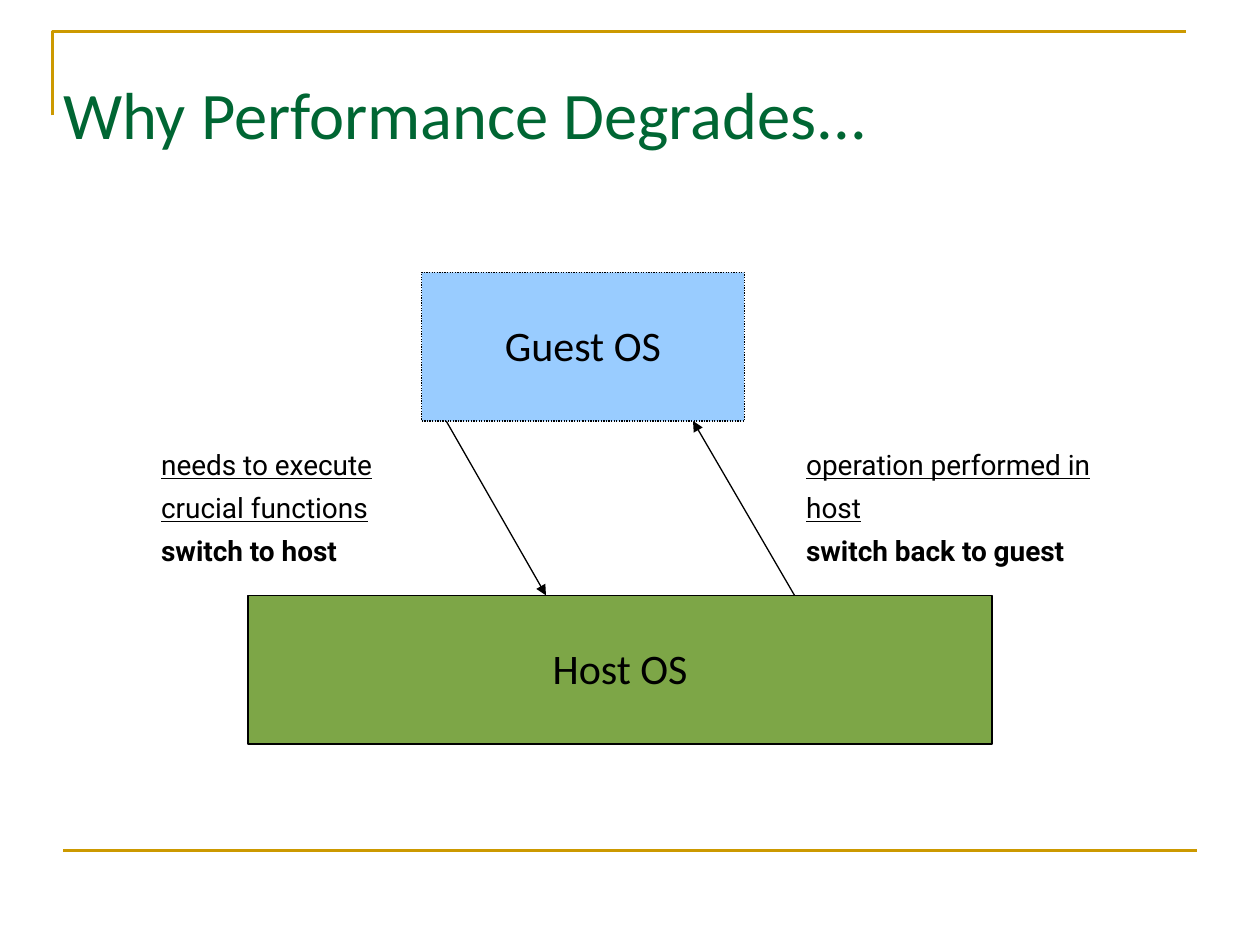
from lxml import etree
from pptx import Presentation
from pptx.dml.color import RGBColor
from pptx.enum import dml, shapes, text
from pptx.oxml.ns import qn
from pptx.util import Pt

GOLD, GREEN, BLACK = "CC9900", "006633", "000000"
GUEST_BLUE, HOST_GREEN = "99CCFF", "7DA647"


def color(hex_value):
    return RGBColor.from_string(hex_value)


def format_line(line, hex_value, width):
    line.color.rgb = color(hex_value)
    line.width = Pt(width)


def format_frame(frame, **values):
    for name, value in values.items():
        setattr(frame, name, value)


def write(paragraph, wording, hex_value, spacing, **font_values):
    run = paragraph.add_run()
    run.text = wording
    paragraph.line_spacing = spacing
    run.font.color.rgb = color(hex_value)
    for name, value in font_values.items():
        setattr(run.font, name, value)


def add_rule(slide, start, end, hex_value, width, arrow=False):
    """Draw a straight line, with an arrowhead at its end if asked."""
    rule = slide.shapes.add_connector(
        shapes.MSO_CONNECTOR.STRAIGHT, *map(Pt, start + end))
    format_line(rule.line, hex_value, width)
    properties = rule._element.spPr
    if arrow:
        etree.SubElement(properties.find(qn("a:ln")), qn("a:tailEnd"), type="triangle")
    etree.SubElement(properties, qn("a:effectLst"))


def add_corner(slide):
    """Draw the open gold frame at the top left of the slide."""
    builder = slide.shapes.build_freeform(Pt(30), Pt(66))
    builder.add_line_segments([(Pt(30), Pt(18)), (Pt(678), Pt(18))], close=False)
    corner = builder.convert_to_shape()
    corner.shadow.inherit = False
    corner.fill.background()
    format_line(corner.line, GOLD, 1.5)


def set_title(slide, wording):
    title = slide.shapes.title
    bounds = dict(left=36, top=45.4, width=648, height=43.2)
    for name, value in bounds.items():
        setattr(title, name, Pt(value))
    frame = title.text_frame
    format_frame(frame, margin_left=0, margin_right=0, margin_top=0, margin_bottom=0,
                 word_wrap=True, auto_size=text.MSO_AUTO_SIZE.NONE,
                 vertical_anchor=text.MSO_ANCHOR.MIDDLE)
    heading = frame.paragraphs[0]
    heading.alignment = text.PP_ALIGN.LEFT
    write(heading, wording, GREEN, 0.95, name="Calibri", size=Pt(38))


def add_system(slide, name, bounds, fill, dash=None):
    system = slide.shapes.add_shape(shapes.MSO_SHAPE.RECTANGLE, *map(Pt, bounds))
    system.shadow.inherit = False
    system.fill.solid()
    system.fill.fore_color.rgb = color(fill)
    format_line(system.line, BLACK, 0.75)
    if dash:
        system.line.dash_style = dash
    frame = system.text_frame
    format_frame(frame, word_wrap=False, vertical_anchor=text.MSO_ANCHOR.MIDDLE)
    label = frame.paragraphs[0]
    label.alignment = text.PP_ALIGN.CENTER
    write(label, name, BLACK, 0.95, name="Calibri", size=Pt(24))


def add_switch_note(slide, bounds, reason, switch):
    frame = slide.shapes.add_textbox(*map(Pt, bounds)).text_frame
    frame.word_wrap = True
    body = dict(name="Roboto", size=Pt(16))
    write(frame.paragraphs[0], reason, BLACK, 1.28, underline=True, **body)
    write(frame.add_paragraph(), switch, BLACK, 1.28, bold=True, **body)


def main():
    deck = Presentation()
    deck.slide_width, deck.slide_height = Pt(720), Pt(540)
    slide = deck.slides.add_slide(deck.slide_layouts[5])

    add_corner(slide)
    add_rule(slide, (36, 486), (684, 486), GOLD, 1.5)
    set_title(slide, "Why Performance Degrades...")

    add_system(slide, "Guest OS", (241, 155.6, 184.3, 85), GUEST_BLUE,
               dml.MSO_LINE.ROUND_DOT)
    add_system(slide, "Host OS", (141.8, 340.2, 425.2, 85), HOST_GREEN)
    add_rule(slide, (255, 240.6), (312, 340.2), BLACK, 0.75, arrow=True)
    add_rule(slide, (454, 340.2), (396, 240.6), BLACK, 0.75, arrow=True)

    add_switch_note(slide, (85, 247, 170, 79),
                    "needs to execute crucial functions", "switch to host")
    add_switch_note(slide, (453.6, 247, 184.3, 79),
                    "operation performed in host", "switch back to guest")
    deck.save("out.pptx")


if __name__ == "__main__":
    main()
